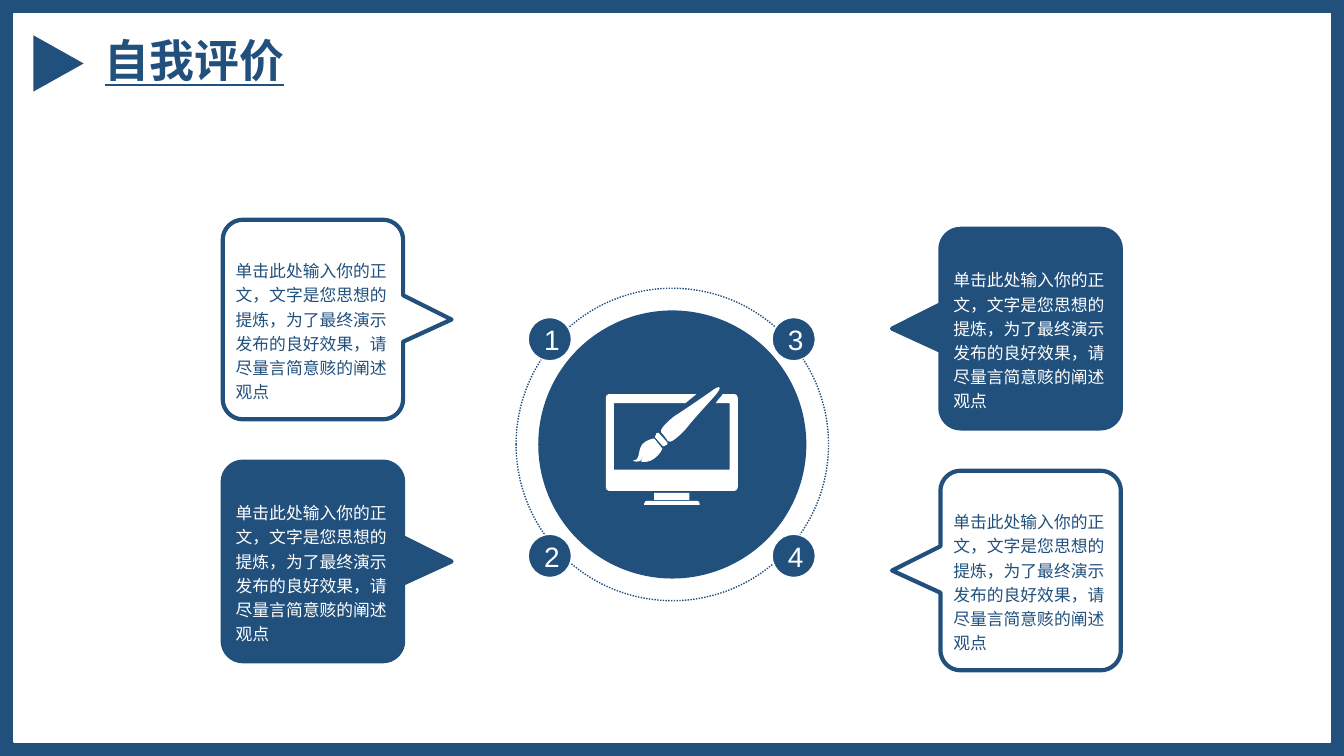
from dataclasses import dataclass
from typing import Optional

from lxml import etree
from pptx import Presentation
from pptx.dml.color import RGBColor
from pptx.enum import dml, shapes, text
from pptx.oxml.ns import qn
from pptx.util import Inches, Pt

COLORS = {"navy": "21507D", "white": "FFFFFF"}
HAN, LATIN = "Noto Sans CJK SC", "Arial"
WIDTH, HEIGHT = 40 / 3, 7.5
MIRROR = 13.33
BODY = "单击此处输入你的正文，文字是您思想的提炼，为了最终演示发布的良好效果，请尽量言简意赅的阐述观点"
SHAPE = shapes.MSO_SHAPE

# A step is (x, y) for a straight line or (x1, y1, x2, y2, x, y) for a curve.
Path = list[tuple[float, ...]]


@dataclass
class Bubble:
    top: float
    on_right: bool
    filled: bool


@dataclass
class Badge:
    label: str
    left: float
    top: float


BUBBLES = [
    Bubble(2.18, False, False),
    Bubble(4.58, False, True),
    Bubble(2.27, True, True),
    Bubble(4.67, True, False),
]
BADGES = [
    Badge(str(column * 2 + row + 1), 5.24 + 2.42 * column, 3.15 + 2.15 * row)
    for row in range(2) for column in range(2)
]
MONITOR_FOOT: Path = [
    (6.92, 4.97), (6.41, 4.97), (6.4, 4.97, 6.39, 4.99, 6.39, 5), (6.39, 5.01),
    (6.94, 5.01), (6.94, 5), (6.94, 4.99, 6.94, 4.97, 6.92, 4.97),
]
MONITOR_SCREEN: Path = [
    (7.29, 3.91), (7.17, 3.91), (7.16, 3.93, 7.14, 3.95, 7.13, 3.96), (7.1, 4),
    (7.24, 4), (7.24, 4.66), (6.09, 4.66), (6.09, 4), (6.8, 4), (6.91, 3.91),
    (6.04, 3.91), (6.02, 3.91, 6.01, 3.93, 6.01, 3.95), (6.01, 4.83),
    (6.01, 4.85, 6.02, 4.87, 6.04, 4.87), (7.29, 4.87),
    (7.31, 4.87, 7.32, 4.85, 7.32, 4.83), (7.32, 3.95),
    (7.32, 3.93, 7.31, 3.91, 7.29, 3.91),
]
BRUSH_TIP: Path = [
    (6.37, 4.41), (6.32, 4.49, 6.36, 4.56, 6.28, 4.57),
    (6.28, 4.57, 6.29, 4.58, 6.31, 4.58), (6.35, 4.58, 6.37, 4.57, 6.38, 4.52),
    (6.38, 4.52, 6.38, 4.56, 6.36, 4.58), (6.4, 4.59, 6.45, 4.58, 6.49, 4.55),
    (6.56, 4.5, 6.57, 4.45, 6.57, 4.45), (6.49, 4.35),
    (6.49, 4.35, 6.41, 4.36, 6.37, 4.41),
]
BRUSH_HANDLE: Path = [
    (7.06, 3.88), (6.96, 3.95, 6.8, 4.06, 6.69, 4.13),
    (6.6, 4.2, 6.54, 4.27, 6.56, 4.29), (6.58, 4.31, 6.61, 4.35, 6.63, 4.38),
    (6.65, 4.4, 6.73, 4.34, 6.81, 4.25), (6.88, 4.16, 7.01, 4.02, 7.09, 3.93),
    (7.17, 3.84, 7.15, 3.81, 7.06, 3.88),
]
BRUSH_COLLAR: Path = [
    (6.54, 4.3), (6.54, 4.29, 6.52, 4.29, 6.51, 4.3),
    (6.51, 4.31, 6.51, 4.31, 6.51, 4.32), (6.5, 4.32),
    (6.49, 4.33, 6.49, 4.33, 6.5, 4.34), (6.57, 4.42),
    (6.58, 4.43, 6.59, 4.43, 6.6, 4.42), (6.62, 4.41),
    (6.63, 4.4, 6.63, 4.4, 6.62, 4.39), (6.54, 4.3),
]


def rgb(name: str) -> RGBColor:
    return RGBColor.from_string(COLORS[name])


def paint(shape, fill: Optional[str], line: Optional[str], width: float) -> None:
    shape.shadow.inherit = False
    if fill:
        shape.fill.solid()
        shape.fill.fore_color.rgb = rgb(fill)
    else:
        shape.fill.background()
    if line:
        shape.line.color.rgb = rgb(line)
        shape.line.width = Pt(width)
        etree.SubElement(shape.element.spPr.find(qn("a:ln")), qn("a:round"))
    else:
        shape.line.fill.background()


def add_preset(canvas, kind, left: float, top: float, width: float, height: float,
               fill: Optional[str] = None, line: Optional[str] = None):
    shape = canvas.add_shape(
        kind, Inches(left), Inches(top), Inches(width), Inches(height))
    paint(shape, fill, line, 1)
    return shape


def add_path(canvas, path: Path, fill: Optional[str] = None,
             line: Optional[str] = None) -> None:
    ends = [(Inches(step[-2]), Inches(step[-1])) for step in path]
    origin = [min(axis) for axis in zip(*ends)]
    builder = canvas.build_freeform(*ends[0])
    builder.add_line_segments(ends[1:], close=True)
    shape = builder.convert_to_shape()
    paint(shape, fill, line, 3)

    # Turn the straight segments of curved steps into Bezier segments
    segments = list(shape.element.iter(qn("a:lnTo")))
    for segment, step in zip(segments, path[1:]):
        if len(step) == 2:
            continue
        curve = etree.Element(qn("a:cubicBezTo"))
        for x, y in zip(step[::2], step[1::2]):
            etree.SubElement(curve, qn("a:pt"), x=str(Inches(x) - origin[0]),
                             y=str(Inches(y) - origin[1]))
        segment.getparent().replace(segment, curve)


def write(box, words: str, *, size: float, color: str, font: str = HAN,
          bold: bool = False, underline: bool = False, spacing: float = 1,
          align=text.PP_ALIGN.LEFT, anchor=text.MSO_ANCHOR.TOP) -> None:
    frame = box.text_frame
    frame.word_wrap = True
    frame.vertical_anchor = anchor
    para = frame.paragraphs[0]
    para.alignment = align
    para.line_spacing = spacing
    span = para.add_run()
    span.text = words
    span.font.size = Pt(size)
    span.font.bold = bold
    span.font.underline = underline
    span.font.color.rgb = rgb(color)
    span.font.name = font
    latin = span.font._element.find(qn("a:latin"))
    latin.addnext(etree.Element(qn("a:ea"), typeface=font))


def add_text(canvas, words: str, left: float, top: float, width: float,
             height: float, **style) -> None:
    box = canvas.add_textbox(
        Inches(left), Inches(top), Inches(width), Inches(height))
    write(box, words, **style)


def bubble_path(bubble: Bubble) -> Path:
    left, right, tip = 2.21, 4.0, 4.48
    top, bottom = bubble.top, bubble.top + 1.98
    radius, pull = 0.2, 0.09
    path: Path = [
        (left, top + radius), (left, bottom - radius),
        (left, bottom - pull, left + pull, bottom, left + radius, bottom),
        (right - radius, bottom),
        (right - pull, bottom, right, bottom - pull, right, bottom - radius),
        (right, top + 1.21), (tip, top + 0.99), (right, top + 0.75),
        (right, top + radius),
        (right, top + pull, right - pull, top, right - radius, top),
        (left + radius, top),
        (left + pull, top, left, top + pull, left, top + radius),
    ]
    if bubble.on_right:
        path = [tuple(value if index % 2 else MIRROR - value
                      for index, value in enumerate(step)) for step in path]
    return path


def add_bubble(page, bubble: Bubble) -> None:
    canvas = page.shapes.add_group_shape().shapes
    area = (9.36 if bubble.on_right else 2.24, bubble.top + 0.32, 1.76, 1.55)
    add_path(canvas, bubble_path(bubble), "navy" if bubble.filled else None, "navy")
    if bubble.filled:
        box = add_preset(canvas, SHAPE.RECTANGLE, *area, "navy")
        write(box, BODY, size=12, spacing=1.2, color="white")
    else:
        add_text(canvas, BODY, *area, size=12, spacing=1.2, color="navy")


def add_badge(page, badge: Badge) -> None:
    circle = add_preset(page.shapes, SHAPE.OVAL, badge.left, badge.top, 0.43, 0.43,
                        "navy", "white")
    frame = circle.text_frame
    frame.margin_left = Inches(0.04)
    frame.margin_right = frame.margin_top = frame.margin_bottom = 0
    write(circle, badge.label, size=20, color="white", font=LATIN,
          align=text.PP_ALIGN.CENTER, anchor=text.MSO_ANCHOR.MIDDLE)


def main() -> None:
    deck = Presentation()
    deck.slide_width, deck.slide_height = Inches(WIDTH), Inches(HEIGHT)
    layout = deck.slide_layouts[6]
    page = deck.slides.add_slide(layout)

    # Frame, kept on the layout
    for frame in (
        add_preset(page.shapes, SHAPE.RECTANGLE, 0, 0, WIDTH, HEIGHT, "navy"),
        add_preset(page.shapes, SHAPE.RECTANGLE, 0.14, 0.14, 13.06, 7.22,
                   "white", "white"),
    ):
        layout.shapes.element.append(frame.element)

    # Title
    add_text(page.shapes, "自我评价", 0.94, 0.28, 3.75, 0.64, size=32, color="navy",
             bold=True, underline=True, align=text.PP_ALIGN.JUSTIFY)
    marker = add_preset(page.shapes, SHAPE.ISOSCELES_TRIANGLE,
                        0.3, 0.38, 0.56, 0.5, "navy")
    marker.rotation = 90

    # Speech bubbles
    for bubble in BUBBLES:
        add_bubble(page, bubble)

    # Central disc with monitor and brush
    emblem = page.shapes.add_group_shape().shapes
    add_preset(emblem, SHAPE.OVAL, 5.34, 3.08, 2.66, 2.66, "navy")
    ring = add_preset(emblem, SHAPE.OVAL, 5.12, 2.86, 3.1, 3.1, line="navy")
    ring.line.dash_style = dml.MSO_LINE.ROUND_DOT
    add_preset(emblem, SHAPE.RECTANGLE, 6.49, 4.89, 0.35, 0.07, "white")
    for path in (MONITOR_FOOT, MONITOR_SCREEN, BRUSH_TIP, BRUSH_HANDLE, BRUSH_COLLAR):
        add_path(emblem, path, "white")

    # Numbered badges
    for badge in BADGES:
        add_badge(page, badge)

    deck.save("out.pptx")


if __name__ == "__main__":
    main()
